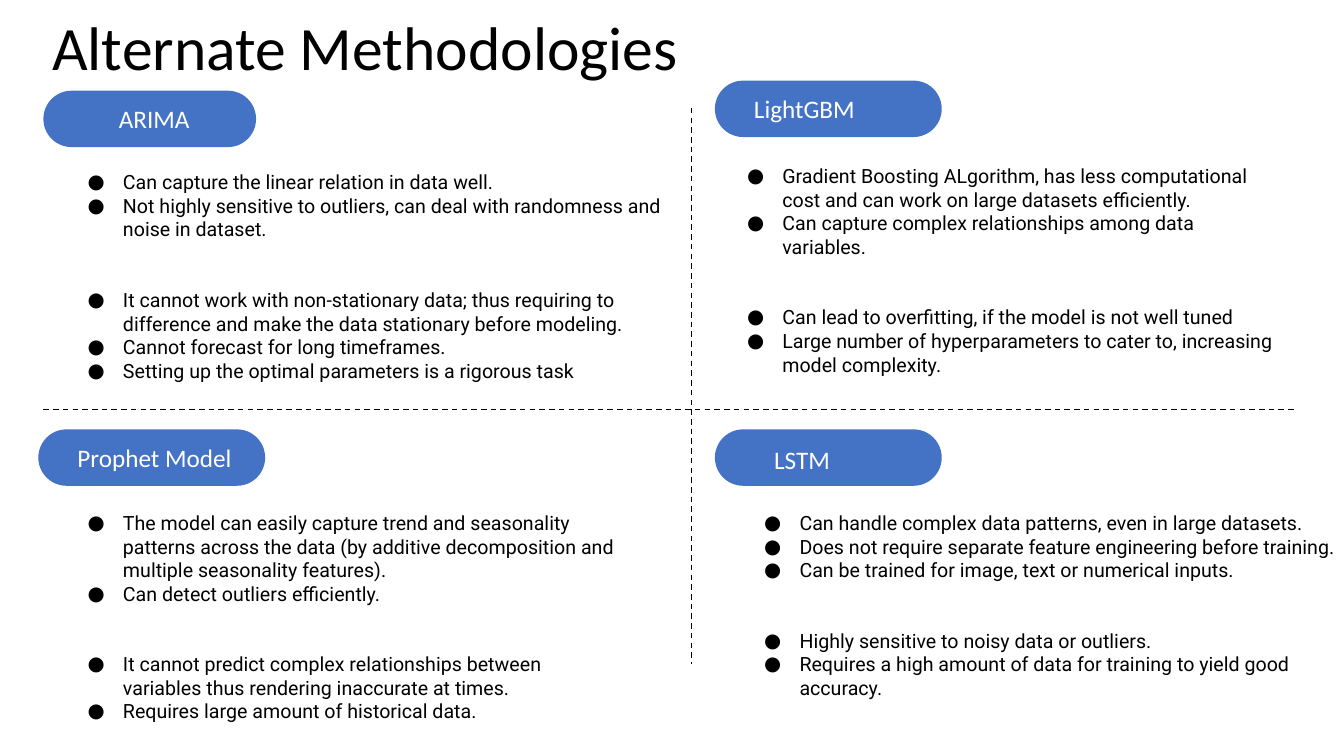
from lxml.etree import SubElement
from pptx import Presentation
from pptx.dml.color import RGBColor
from pptx.enum.dml import MSO_LINE
from pptx.enum.shapes import MSO_CONNECTOR, MSO_SHAPE
from pptx.enum.text import MSO_ANCHOR
from pptx.oxml.ns import qn
from pptx.util import Inches, Pt

BLACK = RGBColor(0x00, 0x00, 0x00)
WHITE = RGBColor(0xFF, 0xFF, 0xFF)
BLUE = RGBColor(0x44, 0x72, 0xC4)

METHODS = [
    ("ARIMA", (0.43, 0.9, 2.11), (1.08, 0.93, 1.68), (0.67, 1.64, 6),
     ["Can capture the linear relation in data well.",
      "Not highly sensitive to outliers, can deal with randomness and noise in dataset."],
     ["It cannot work with non-stationary data; thus requiring to difference and make the data "
      "stationary before modeling.",
      "Cannot forecast for long timeframes.",
      "Setting up the optimal parameters is a rigorous task"]),
    ("LightGBM", (7.09, 0.8, 2.25), (7.38, 0.83, 1.96), (7.21, 1.58, 5.5),
     ["Gradient Boosting ALgorithm, has less computational cost and can work on large datasets "
      "efficiently.",
      "Can capture complex relationships among data variables."],
     ["Can lead to overfitting, if the model is not well tuned",
      "Large number of hyperparameters to cater to, increasing model complexity."]),
    ("Prophet Model", (0.38, 4.26, 2.25), (0.67, 4.29, 1.96), (0.67, 5.02, 5.5),
     ["The model can easily capture trend and seasonality patterns across the data "
      "(by additive decomposition and multiple seasonality features).",
      "Can detect outliers efficiently."],
     ["It cannot predict complex relationships between variables thus rendering inaccurate "
      "at times.",
      "Requires large amount of historical data."]),
    ("LSTM", (7.09, 4.26, 2.25), (7.58, 4.31, 1.96), (7.38, 5.02, 5.96),
     ["Can handle complex data patterns, even in large datasets.",
      "Does not require separate feature engineering before training.",
      "Can be trained for image, text or numerical inputs."],
     ["Highly sensitive to noisy data or outliers.",
      "Requires a high amount of data for training to yield good accuracy."]),
]


class MethodSlide:
    """Draws styled elements on one slide."""

    heading_font = "Calibri"
    body_font = "Roboto"
    pill_height = 0.56
    label_height = 0.5
    list_height = 2.22
    group_gap = Pt(33.6)

    def __init__(self, presentation):
        self.slide = presentation.slides.add_slide(presentation.slide_layouts[6])

    def text_frame(self, left, top, width, height, inset_x, inset_y):
        box = self.slide.shapes.add_textbox(
            Inches(left), Inches(top), Inches(width), Inches(height))
        frame = box.text_frame
        frame.word_wrap = True
        frame.margin_left = frame.margin_right = Inches(inset_x)
        frame.margin_top = frame.margin_bottom = Inches(inset_y)
        return frame

    def run(self, paragraph, text, font, size, color):
        run = paragraph.add_run()
        run.text = text
        run.font.name = font
        run.font.size = Pt(size)
        run.font.color.rgb = color

    def title(self, text):
        frame = self.text_frame(0.42, 0.1, 12.29, 0.8, 0.1, 0.05)
        frame.vertical_anchor = MSO_ANCHOR.MIDDLE
        paragraph = frame.paragraphs[0]
        paragraph.line_spacing = 0.9
        self.run(paragraph, text, self.heading_font, 44, BLACK)

    def divider(self, start_x, start_y, end_x, end_y):
        connector = self.slide.shapes.add_connector(
            MSO_CONNECTOR.STRAIGHT,
            Inches(start_x), Inches(start_y), Inches(end_x), Inches(end_y))
        connector.line.color.rgb = BLACK
        connector.line.width = Pt(1)
        connector.line.dash_style = MSO_LINE.DASH
        SubElement(connector._element.spPr, qn("a:effectLst"))

    def pill(self, left, top, width):
        shape = self.slide.shapes.add_shape(
            MSO_SHAPE.ROUNDED_RECTANGLE,
            Inches(left), Inches(top), Inches(width), Inches(self.pill_height))
        shape.adjustments[0] = 0.5
        shape.shadow.inherit = False
        shape.fill.solid()
        shape.fill.fore_color.rgb = BLUE
        shape.line.fill.background()

    def label(self, text, left, top, width):
        frame = self.text_frame(left, top, width, self.label_height, 0.1, 0.1)
        self.run(frame.paragraphs[0], text, self.heading_font, 18, WHITE)

    def bullet(self, paragraph):
        properties = paragraph._p.get_or_add_pPr()
        properties.set("marL", str(Inches(0.5)))
        properties.set("indent", str(Inches(-0.35)))
        color = SubElement(properties, qn("a:buClr"))
        SubElement(color, qn("a:srgbClr"), val=str(BLACK))
        SubElement(properties, qn("a:buFont"), typeface=self.body_font)
        SubElement(properties, qn("a:buChar"), char="●")

    def bullet_list(self, strengths, weaknesses, left, top, width):
        frame = self.text_frame(left, top, width, self.list_height, 0.05, 0.05)
        for index, text in enumerate(strengths + weaknesses):
            paragraph = frame.add_paragraph() if index else frame.paragraphs[0]
            if index == len(strengths):
                paragraph.space_before = self.group_gap
            self.bullet(paragraph)
            self.run(paragraph, text, self.body_font, 14, BLACK)


def main():
    presentation = Presentation()
    presentation.slide_width = Inches(13.33)
    presentation.slide_height = Inches(7.5)
    slide = MethodSlide(presentation)
    slide.title("Alternate Methodologies")
    slide.divider(6.86, 1.07, 6.86, 6.59)
    slide.divider(0.43, 4.06, 12.86, 4.06)
    for name, pill, label, text_area, strengths, weaknesses in METHODS:
        slide.pill(*pill)
        slide.label(name, *label)
        slide.bullet_list(strengths, weaknesses, *text_area)
    presentation.save("out.pptx")


if __name__ == "__main__":
    main()
